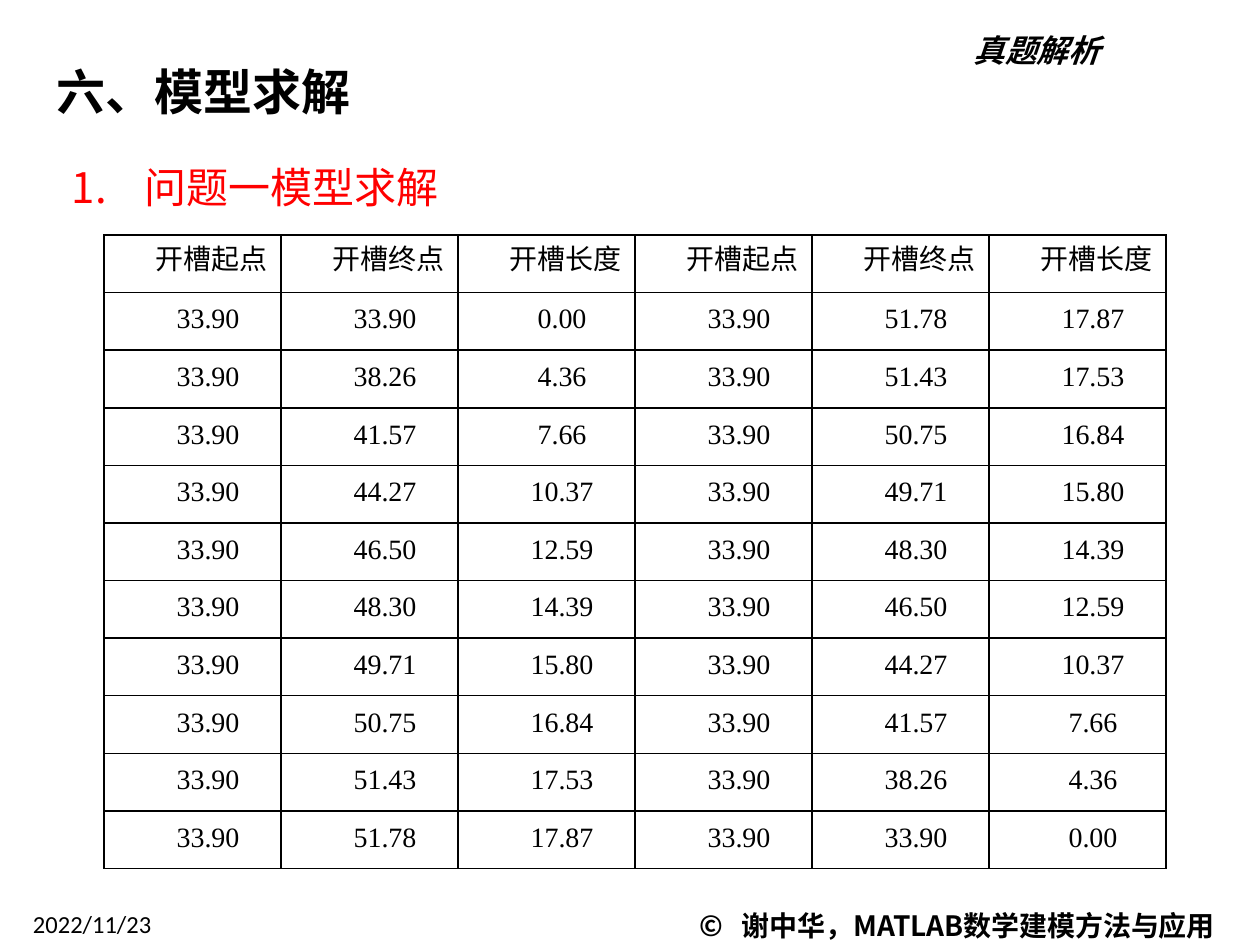
from typing import NamedTuple, Optional

from lxml.etree import SubElement
from pptx import Presentation
from pptx.dml.color import RGBColor
from pptx.enum.text import MSO_ANCHOR, MSO_AUTO_SIZE, PP_ALIGN
from pptx.oxml.ns import qn
from pptx.util import Pt

PX = 914400 / 126
COLORS = {"black": "000000", "red": "FF0000"}
CJK = "Noto Sans CJK SC"


class Box(NamedTuple):
    x: int
    y: int
    w: int
    h: int


class Label(NamedTuple):
    text: str
    box: Box
    fmt: dict
    anchor: MSO_ANCHOR = MSO_ANCHOR.TOP
    grow: bool = False
    inset: int = 13


class Border(NamedTuple):
    side: str
    width: float


def px(n: int) -> int:
    return round(n * PX)


def write(tf, text: str, *, size: int, font: str, color: str = "black",
          bold: bool = False, italic: bool = False,
          align: PP_ALIGN = PP_ALIGN.LEFT, spacing=None,
          indent: int = 0, tab: Optional[int] = None) -> None:
    """Put one formatted paragraph into a text frame."""
    p = tf.paragraphs[0]
    pPr = p._p.get_or_add_pPr()
    if indent:
        pPr.set("marL", "0")
        pPr.set("indent", str(px(indent)))
    if tab:
        tabs = SubElement(pPr, qn("a:tabLst"))
        SubElement(tabs, qn("a:tab"), pos=str(px(tab)), algn="l")
    p.alignment = align
    if spacing:
        p.line_spacing = spacing
    r = p.add_run()
    r.text = text
    r.font.size = Pt(size)
    r.font.bold = bold
    r.font.italic = italic
    r.font.color.rgb = RGBColor.from_string(COLORS[color])
    r.font.name = font
    SubElement(r._r.get_or_add_rPr(), qn("a:ea"), typeface=CJK)


def add_label(s, label: Label) -> None:
    tf = s.shapes.add_textbox(*map(px, label.box)).text_frame
    tf.word_wrap = True
    tf.auto_size = MSO_AUTO_SIZE.SHAPE_TO_FIT_TEXT if label.grow else MSO_AUTO_SIZE.NONE
    tf.vertical_anchor = label.anchor
    tf.margin_left = px(label.inset)
    write(tf, label.text, **label.fmt)


def add_border(cell, border: Border) -> None:
    ln = SubElement(cell._tc.get_or_add_tcPr(), qn(f"a:ln{border.side}"),
                    w=str(Pt(border.width)))
    fill = SubElement(ln, qn("a:solidFill"))
    SubElement(fill, qn("a:srgbClr"), val=COLORS["black"])


def add_grid(s, rows: list, box: Box) -> None:
    table = s.shapes.add_table(len(rows), len(rows[0]), *map(px, box)).table
    table.first_row = table.horz_banding = False
    half = len(rows[0]) // 2
    for i, row in enumerate(rows):
        for j, text in enumerate(row):
            cell = table.cell(i, j)
            cell.margin_left = cell.margin_right = px(9)
            cell.margin_top = cell.margin_bottom = 0
            cell.vertical_anchor = MSO_ANCHOR.MIDDLE
            # The line between the two halves is heavier
            for border in (Border("L", 1.5 if j == half else 1),
                           Border("R", 1.5 if j == half - 1 else 1),
                           Border("T", 1), Border("B", 1)):
                add_border(cell, border)
            cell.fill.background()
            write(cell.text_frame, text, size=16, font="Times New Roman",
                  align=PP_ALIGN.CENTER, spacing=Pt(15.6), indent=38)


# Headings and footer
HEADINGS = [
    Label("真题解析", Box(888, 25, 297, 50),
          dict(size=18, font="Arial", bold=True, italic=True, align=PP_ALIGN.CENTER),
          grow=True),
    Label("六、模型求解", Box(44, 55, 753, 72),
          dict(size=28, font="Arial", bold=True), grow=True),
    Label("1.\t问题一模型求解", Box(59, 135, 1106, 77),
          dict(size=24, font=CJK, color="red", spacing=1.4, tab=73), grow=True),
]
FOOTER = [
    Label("2022/11/23", Box(20, 905, 272, 38),
          dict(size=14, font="Calibri"), MSO_ANCHOR.MIDDLE),
    Label("©\t谢中华，MATLAB数学建模方法与应用", Box(679, 907, 570, 37),
          dict(size=16, font=CJK, bold=True, tab=42), MSO_ANCHOR.MIDDLE, inset=21),
]

# Slot start, then each slot's end and length; the right half runs backwards
START = 33.90
SLOTS = [(33.90, 0.00), (38.26, 4.36), (41.57, 7.66), (44.27, 10.37),
         (46.50, 12.59), (48.30, 14.39), (49.71, 15.80), (50.75, 16.84),
         (51.43, 17.53), (51.78, 17.87)]
HEADER = ["开槽起点", "开槽终点", "开槽长度"] * 2


def main() -> None:
    prs = Presentation()
    prs.slide_width, prs.slide_height = px(1260), px(945)
    s = prs.slides.add_slide(prs.slide_layouts[6])

    for label in HEADINGS:
        add_label(s, label)

    body = [[f"{v:.2f} " for v in (START, *left, START, *right)]
            for left, right in zip(SLOTS, reversed(SLOTS))]
    add_grid(s, [HEADER] + body, Box(104, 235, 1062, 634))

    for label in FOOTER:
        add_label(s, label)
    prs.save("out.pptx")


if __name__ == "__main__":
    main()
